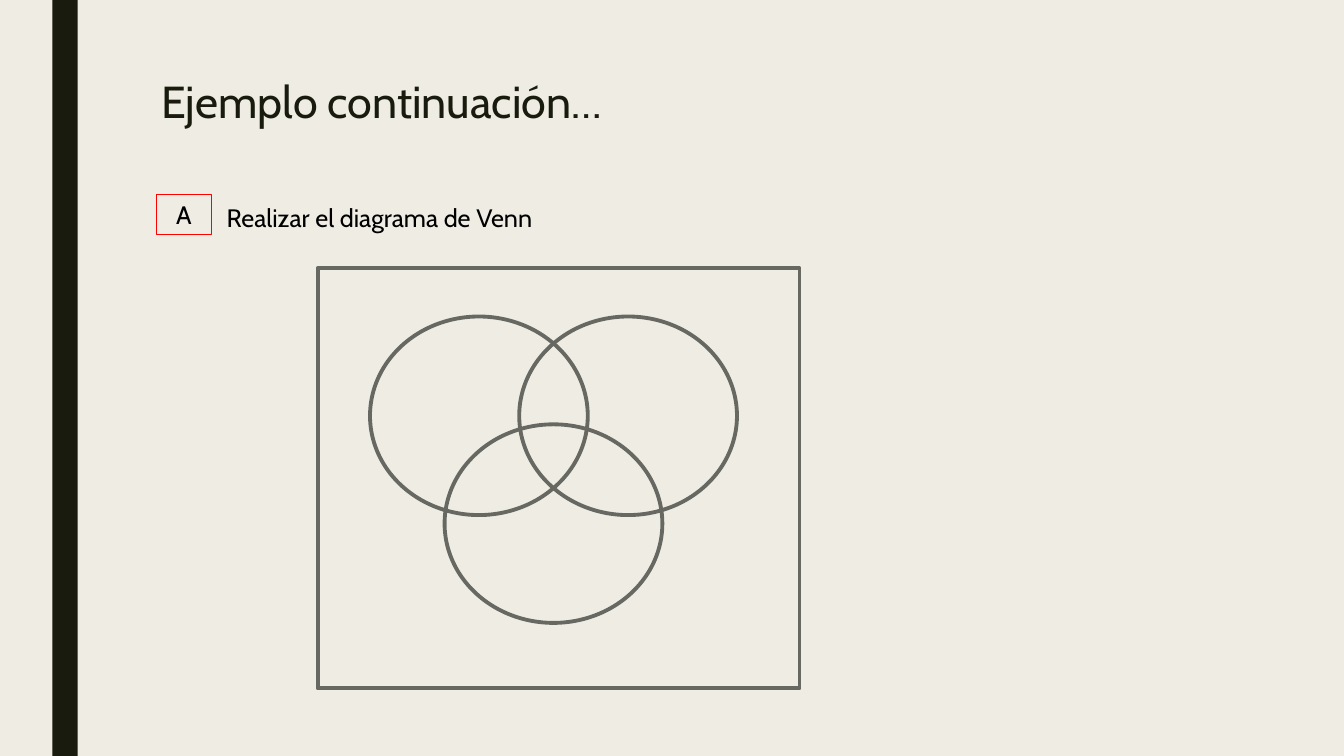
from pptx import Presentation
from pptx.dml.color import RGBColor
from pptx.enum.shapes import MSO_SHAPE
from pptx.enum.text import MSO_ANCHOR, PP_ALIGN
from pptx.util import Inches, Pt

RECTANGLE, OVAL = MSO_SHAPE.RECTANGLE, MSO_SHAPE.OVAL
LEFT, CENTER = PP_ALIGN.LEFT, PP_ALIGN.CENTER
TOP = MSO_ANCHOR.TOP

WIDTH, HEIGHT = 13.33, 7.5
FONT = "Cabin"
PAPER, DARK, BLACK, RED, GRAY = "EFEDE3", "191B0E", "000000", "FF0000", "686863"

UNIVERSE = (3.15, 2.66, 4.78, 4.17)
SET_WIDTH, SET_HEIGHT = 2.16, 1.97
SETS_LEFT, SETS_TOP = 3.67, 3.14
STEP_X, STEP_Y = 0.74, 1.07
SET_CELLS = [(0, 0), (2, 0), (1, 1)]


def color(hex_code):
    return RGBColor.from_string(hex_code)


def add_figure(slide, kind, box, fill=None, line=None, line_width=2.75):
    figure = slide.shapes.add_shape(kind, *map(Inches, box))
    figure.shadow.inherit = False
    if fill:
        figure.fill.solid()
        figure.fill.fore_color.rgb = color(fill)
    else:
        figure.fill.background()
    if line:
        figure.line.color.rgb = color(line)
        figure.line.width = Pt(line_width)
    else:
        figure.line.fill.background()
    return figure


def write(shape, text, size=18, ink=BLACK, align=LEFT, spacing=None):
    frame = shape.text_frame
    frame.word_wrap = True
    frame.vertical_anchor = TOP
    paragraph = frame.paragraphs[0]
    paragraph.text = text
    paragraph.alignment = align
    paragraph.line_spacing = spacing
    font = paragraph.runs[0].font
    font.name, font.size = FONT, Pt(size)
    font.color.rgb = color(ink)


def add_label(slide, text, box, **text_format):
    write(slide.shapes.add_textbox(*map(Inches, box)), text, **text_format)


def add_venn_diagram(slide):
    add_figure(slide, RECTANGLE, UNIVERSE, line=GRAY)
    for column, row in SET_CELLS:
        left, top = SETS_LEFT + column * STEP_X, SETS_TOP + row * STEP_Y
        add_figure(slide, OVAL, (left, top, SET_WIDTH, SET_HEIGHT), line=GRAY)


def main():
    deck = Presentation()
    deck.slide_width, deck.slide_height = Inches(WIDTH), Inches(HEIGHT)
    slide = deck.slides.add_slide(deck.slide_layouts[6])
    slide.background.fill.solid()
    slide.background.fill.fore_color.rgb = color(PAPER)

    add_figure(slide, RECTANGLE, (0.52, 0, 0.25, HEIGHT), fill=DARK)
    add_label(slide, "Ejemplo continuación…", (1.5, 0.75, 10.5, 0.65),
              size=32, ink=DARK, spacing=0.89)
    add_label(slide, "Realizar el diagrama de Venn", (2.15, 1.96, 4.52, 0.4))
    item_badge = add_figure(slide, RECTANGLE, (1.55, 1.93, 0.55, 0.4),
                            line=RED, line_width=0.75)
    write(item_badge, "A", align=CENTER)
    add_venn_diagram(slide)
    deck.save("out.pptx")


if __name__ == "__main__":
    main()
